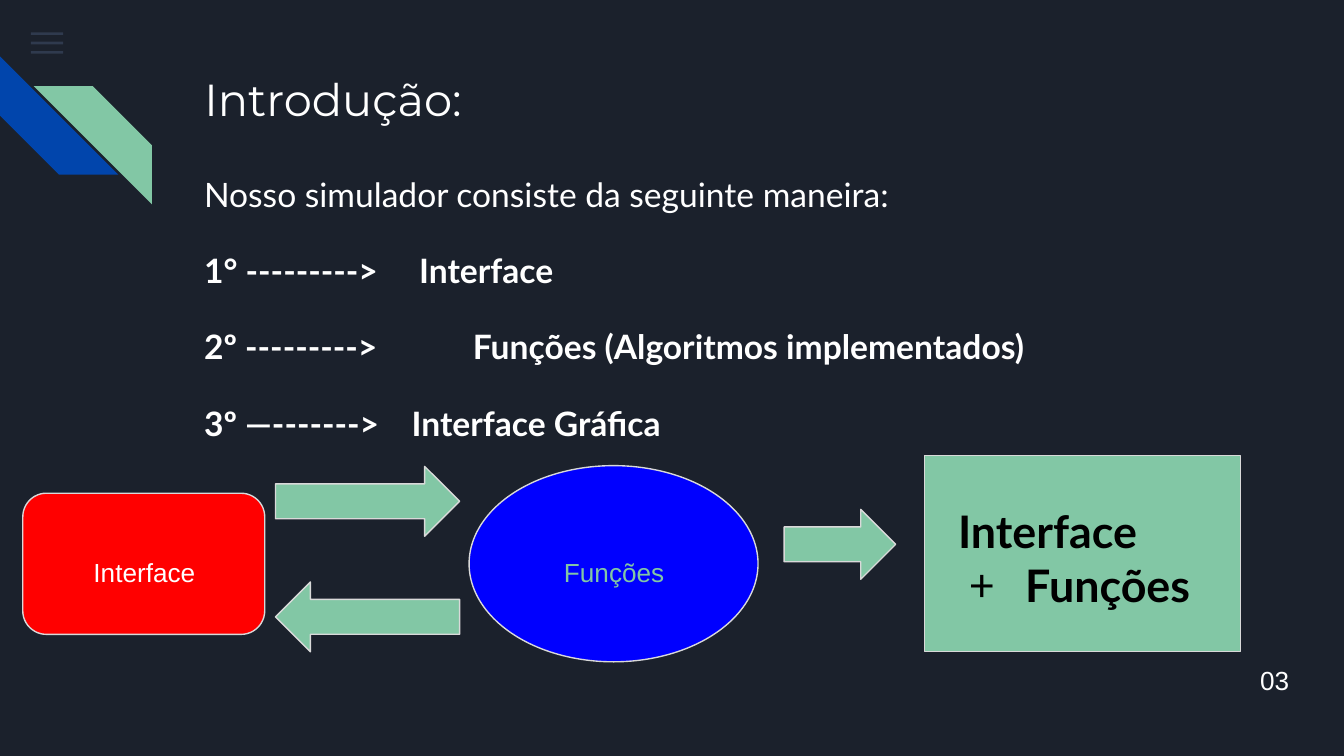
from dataclasses import dataclass
from typing import Optional

from lxml import etree
from pptx import Presentation
from pptx import util as u
from pptx.dml import color
from pptx.enum import shapes, text
from pptx.oxml import ns

PX_PER_INCH = 200
Shape = shapes.MSO_SHAPE
Align = text.PP_ALIGN


@dataclass(frozen=True)
class Theme:
    background: str = "1B212C"
    menu: str = "55688B"
    navy: str = "0145AC"
    green: str = "82C7A5"
    red: str = "FF0000"
    blue: str = "0000FF"
    outline: str = "D9D9D9"
    light: str = "FFFFFF"
    dark: str = "000000"
    heading: int = 24
    body: int = 18
    label: int = 14


@dataclass(frozen=True)
class Box:
    left: int
    top: int
    width: int
    height: int


@dataclass(frozen=True)
class Figure:
    kind: Shape
    box: Box
    fill: str
    outline: Optional[str] = None
    rotation: int = 0
    alpha: int = 100


@dataclass(frozen=True)
class Style:
    font: str
    size: int
    color: str
    bold: bool = False
    align: Align = Align.LEFT


@dataclass(frozen=True)
class Step:
    words: str
    tab: int = 0
    bold: bool = True


THEME = Theme()
HEADING = Style("Montserrat", THEME.heading, THEME.light)
RESULT = Style("Lato", THEME.heading, THEME.dark, bold=True)
NUMBER = Style("Arial", THEME.label, THEME.light)

MENU = [
    Figure(Shape.RECTANGLE, Box(46, 48 + 14 * row, 48, 4), THEME.menu, alpha=36)
    for row in range(3)
]
STRIPES = [
    Figure(Shape.DIAGONAL_STRIPE, Box(0, 84, 176, 176), THEME.navy, rotation=270),
    Figure(Shape.DIAGONAL_STRIPE, Box(50, 128, 176, 176), THEME.green, rotation=90),
]
FLOW = [
    Figure(Shape.ROUNDED_RECTANGLE, Box(34, 734, 360, 210), THEME.red, THEME.outline),
    Figure(Shape.LEFT_ARROW, Box(410, 866, 274, 104), THEME.green, THEME.outline),
    Figure(Shape.RIGHT_ARROW, Box(410, 694, 274, 104), THEME.green, THEME.outline),
    Figure(Shape.OVAL, Box(698, 693, 430, 292), THEME.blue, THEME.outline),
    Figure(Shape.RECTANGLE, Box(1376, 678, 470, 292), THEME.green, THEME.outline),
    Figure(Shape.RIGHT_ARROW, Box(1167, 758, 166, 104), THEME.green, THEME.outline),
]
LABELS = [
    ("Interface", Box(52, 814, 326, 52), THEME.light),
    ("Funções", Box(726, 814, 376, 52), THEME.green),
]
STEPS = [
    Step("Nosso simulador consiste da seguinte maneira:", bold=False),
    Step("1° --------->\tInterface", 320),
    Step("2º --------->\tFunções (Algoritmos implementados)", 400),
    Step("3º —------->\tInterface Gráfica", 309),
]


def px(length: int) -> int:
    return u.Emu(length * u.Inches(1) // PX_PER_INCH)


def rgb(value: str) -> color.RGBColor:
    return color.RGBColor.from_string(value)


def place(shape, box: Box) -> None:
    shape.left, shape.top = px(box.left), px(box.top)
    shape.width, shape.height = px(box.width), px(box.height)


def draw_figure(page, figure: Figure) -> None:
    box = figure.box
    shape = page.shapes.add_shape(
        figure.kind, px(box.left), px(box.top), px(box.width), px(box.height)
    )
    shape.shadow.inherit = False
    shape.rotation = figure.rotation
    shape.fill.solid()
    shape.fill.fore_color.rgb = rgb(figure.fill)
    if figure.alpha < 100:
        tone = shape.fill._xPr.find(".//" + ns.qn("a:srgbClr"))
        etree.SubElement(tone, ns.qn("a:alpha"), val=str(figure.alpha * 1000))
    if figure.outline:
        shape.line.color.rgb = rgb(figure.outline)
        shape.line.width = u.Pt(0.75)
    else:
        shape.line.fill.background()


def prepare_frame(shape, left: int = 20, top: int = 20, side: int = 20):
    frame = shape.text_frame
    frame.word_wrap = True
    frame.auto_size = text.MSO_AUTO_SIZE.NONE
    frame.vertical_anchor = text.MSO_ANCHOR.TOP
    frame.margin_left, frame.margin_top = px(left), px(top)
    frame.margin_right = frame.margin_bottom = px(side)
    return frame


def add_frame(page, box: Box, left: int = 20, top: int = 20, side: int = 20):
    shape = page.shapes.add_textbox(0, 0, 0, 0)
    place(shape, box)
    return prepare_frame(shape, left, top, side)


def write(para, words: str, style: Style) -> None:
    para.add_run().text = words
    para.alignment = style.align
    para.font.name = style.font
    para.font.size = u.Pt(style.size)
    para.font.bold = style.bold
    para.font.color.rgb = rgb(style.color)


def add_tab(para, position: int) -> None:
    tabs = etree.SubElement(para._p.get_or_add_pPr(), ns.qn("a:tabLst"))
    etree.SubElement(tabs, ns.qn("a:tab"), pos=str(px(position)), algn="l")


def add_bullet(para, mark: str, tint: str, indent: int, hanging: int) -> None:
    props = para._p.get_or_add_pPr()
    props.set("marL", str(px(indent)))
    props.set("indent", str(-px(hanging)))
    paint = etree.SubElement(props, ns.qn("a:buClr"))
    etree.SubElement(paint, ns.qn("a:srgbClr"), val=tint)
    etree.SubElement(props, ns.qn("a:buFont"), typeface="Lato")
    etree.SubElement(props, ns.qn("a:buChar"), char=mark)


def draw_steps(page) -> None:
    frame = add_frame(page, Box(284, 230, 1690, 894))
    for index, step in enumerate(STEPS):
        para = frame.add_paragraph() if index else frame.paragraphs[0]
        if step.tab:
            add_tab(para, step.tab)
        para.line_spacing = 1.15
        if index:
            para.space_before = u.Pt(16)
        write(para, step.words, Style("Lato", THEME.body, THEME.light, step.bold))


def draw_result(page) -> None:
    frame = add_frame(page, Box(1406, 730, 418, 188))
    write(frame.paragraphs[0], "Interface", RESULT)
    para = frame.add_paragraph()
    add_bullet(para, "+", THEME.dark, 100, 84)
    write(para, "Funções", RESULT)


def main() -> None:
    deck = Presentation()
    deck.slide_width, deck.slide_height = px(2000), px(1125)
    page = deck.slides.add_slide(deck.slide_layouts.get_by_name("Title Only"))
    page.background.fill.solid()
    page.background.fill.fore_color.rgb = rgb(THEME.background)

    title = page.shapes.title
    place(title, Box(284, 86, 1540, 200))
    write(prepare_frame(title).paragraphs[0], "Introdução:", HEADING)

    for figure in MENU + STRIPES:
        draw_figure(page, figure)
    draw_steps(page)
    for figure in FLOW:
        draw_figure(page, figure)
    for words, box, tint in LABELS:
        style = Style("Arial", THEME.label, tint, align=Align.CENTER)
        write(add_frame(page, box, 0, 14, 0).paragraphs[0], words, style)
    draw_result(page)
    number = add_frame(page, Box(1770, 918, 230, 156), left=105, top=71)
    write(number.paragraphs[0], "03", NUMBER)
    deck.save("out.pptx")


if __name__ == "__main__":
    main()
